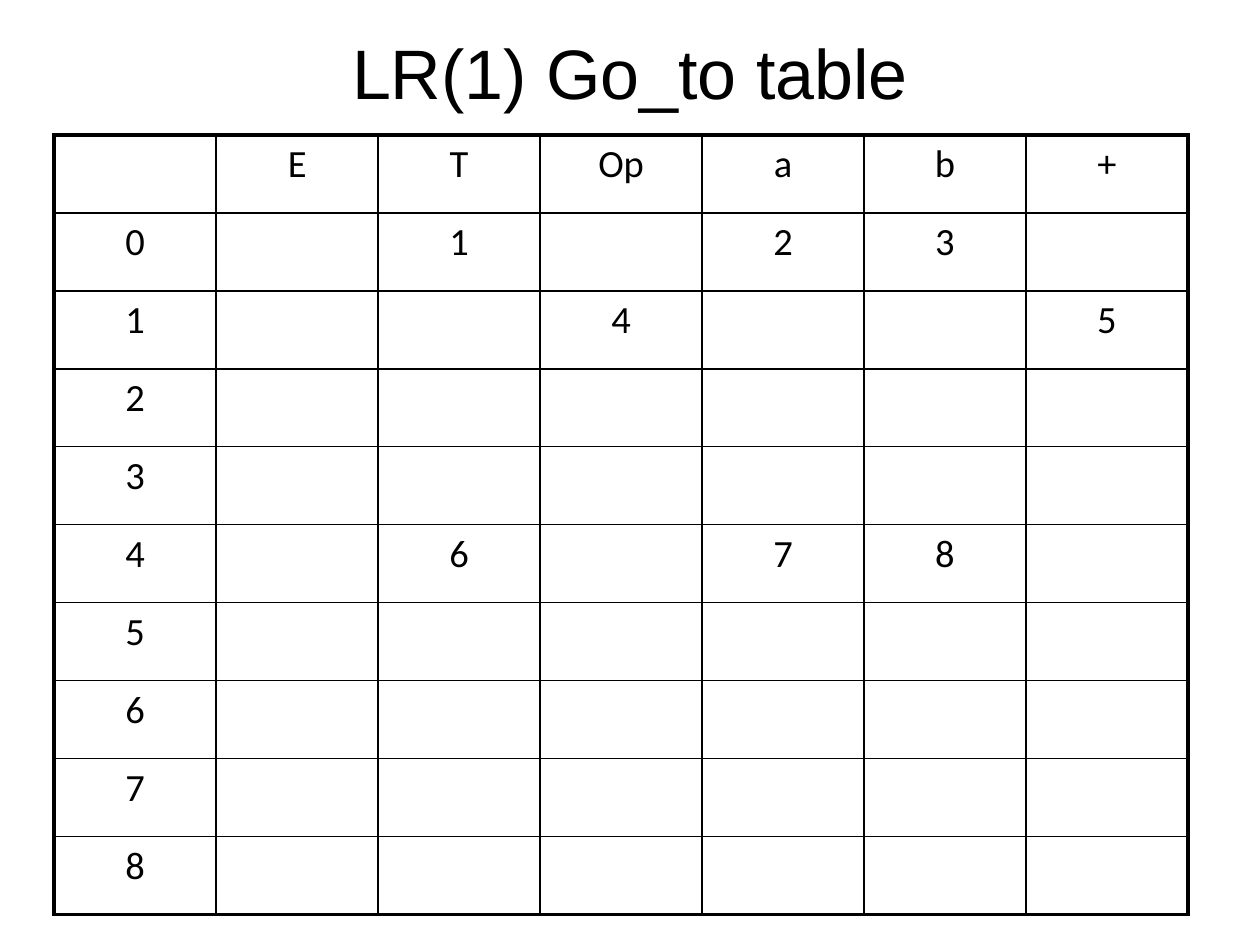
from dataclasses import dataclass

from lxml import etree
from pptx import Presentation
from pptx.dml.color import RGBColor
from pptx.enum.text import MSO_ANCHOR, PP_ALIGN
from pptx.oxml.ns import qn
from pptx.util import Inches, Pt

CENTER = PP_ALIGN.CENTER
MIDDLE = MSO_ANCHOR.MIDDLE


@dataclass(frozen=True)
class Theme:
    ink: str = "000000"
    paper: str = "FFFFFF"
    head_font: str = "Arial"
    body_font: str = "Calibri"
    head_size: float = 40
    body_size: float = 22
    thin: float = 1
    thick: float = 2.25


THEME = Theme()
HEADS = ["", "E", "T", "Op", "a", "b", "+"]
STATES = 9
MOVES = {
    0: {"T": 1, "a": 2, "b": 3},
    1: {"Op": 4, "+": 5},
    4: {"T": 6, "a": 7, "b": 8},
}


def style(para, font, size):
    para.alignment = CENTER
    para.font.name = font
    para.font.size = Pt(size)
    para.font.color.rgb = RGBColor.from_string(THEME.ink)


def add_title(slide, text):
    box = slide.shapes.add_textbox(Inches(0.5), Inches(0.3), Inches(9), Inches(0.54))
    frame = box.text_frame
    frame.word_wrap = True
    frame.vertical_anchor = MIDDLE
    frame.text = text
    style(frame.paragraphs[0], THEME.head_font, THEME.head_size)


def add_edge(cell, side, width):
    props = cell._tc.get_or_add_tcPr()
    line = etree.SubElement(props, qn(f"a:ln{side}"), w=str(Pt(width)))
    fill = etree.SubElement(line, qn("a:solidFill"))
    etree.SubElement(fill, qn("a:srgbClr"), val=THEME.ink)


def fill_cell(cell, text, outer):
    for side in "LRTB":
        add_edge(cell, side, THEME.thick if side in outer else THEME.thin)
    cell.fill.solid()
    cell.fill.fore_color.rgb = RGBColor.from_string(THEME.paper)
    cell.text = text
    style(cell.text_frame.paragraphs[0], THEME.body_font, THEME.body_size)


def add_grid(slide, data):
    rows, cols = len(data), len(data[0])
    frame = slide.shapes.add_table(
        rows, cols, Inches(0.43), Inches(1.07), Inches(9), Inches(6.19)
    )
    table = frame.table
    table.first_row = False
    table.horz_banding = False
    for r, row in enumerate(data):
        for c, text in enumerate(row):
            ends = {"L": c == 0, "R": c == cols - 1, "T": r == 0, "B": r == rows - 1}
            outer = [side for side, edge in ends.items() if edge]
            fill_cell(table.cell(r, c), text, outer)


def goto_rows():
    rows = [HEADS]
    for state in range(STATES):
        moves = MOVES.get(state, {})
        rows.append([str(state)] + [str(moves.get(sym, "")) for sym in HEADS[1:]])
    return rows


def main():
    deck = Presentation()
    deck.slide_width = Inches(10)
    deck.slide_height = Inches(7.5)
    slide = deck.slides.add_slide(deck.slide_layouts[6])
    add_title(slide, "LR(1) Go_to table")
    add_grid(slide, goto_rows())
    deck.save("out.pptx")


if __name__ == "__main__":
    main()
